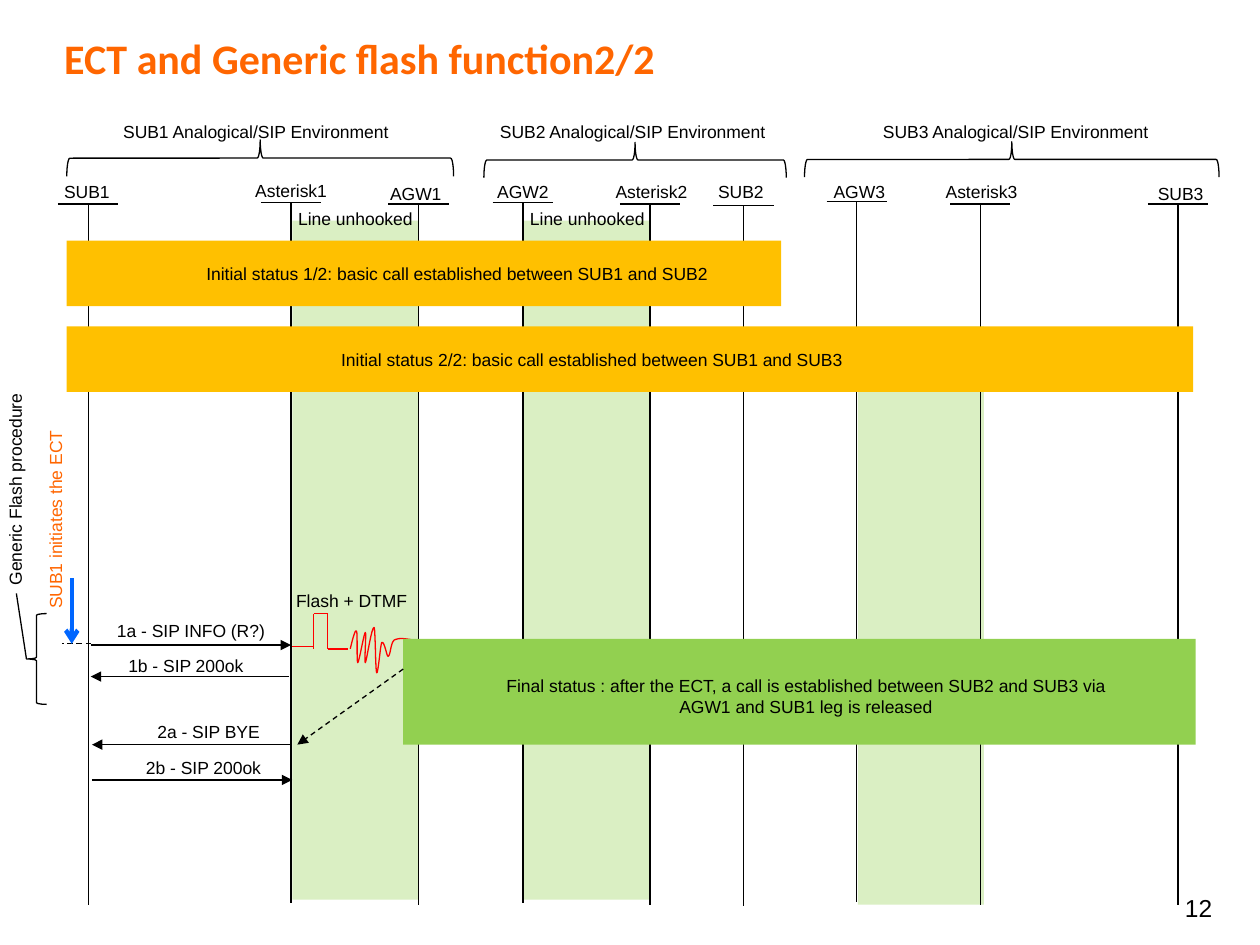
from lxml import etree
from pptx import Presentation
from pptx.dml.color import RGBColor
from pptx.enum.dml import MSO_LINE
from pptx.enum.shapes import MSO_CONNECTOR, MSO_SHAPE
from pptx.enum.text import MSO_ANCHOR, PP_ALIGN
from pptx.oxml.ns import qn
from pptx.util import Inches, Pt

BLACK, ORANGE, RED, BLUE = "000000", "FF6600", "FF0000", "0066FF"
BAND, AMBER, GREEN = "DAEFC3", "FFC000", "92D050"


def color(value):
    return RGBColor.from_string(value)


class SequenceSlide:
    font = "Arial"
    text_size = 10
    line_width = 0.75

    def __init__(self, slide):
        self.slide = slide
        self.shapes = slide.shapes

    def title(self, text, left, top, width, height):
        heading = self.shapes.title
        heading.left, heading.top = Inches(left), Inches(top)
        heading.width, heading.height = Inches(width), Inches(height)
        frame = heading.text_frame
        frame.text = text
        frame.vertical_anchor = MSO_ANCHOR.MIDDLE
        paragraph = frame.paragraphs[0]
        paragraph.alignment = PP_ALIGN.LEFT
        paragraph.font.name = "Calibri"
        paragraph.font.size = Pt(24)
        paragraph.font.bold = True
        paragraph.font.color.rgb = color(ORANGE)

    def text(self, text, left, top, width, height=0.27, hue=BLACK, size=text_size,
             align=PP_ALIGN.CENTER, rotation=0):
        box = self.shapes.add_textbox(*map(Inches, (left, top, width, height)))
        box.rotation = rotation
        frame = box.text_frame
        frame.word_wrap = True
        frame.text = text
        paragraph = frame.paragraphs[0]
        paragraph.alignment = align
        paragraph.space_before = Pt(6.2 if align == PP_ALIGN.CENTER else 0)
        paragraph.font.name = self.font
        paragraph.font.size = Pt(size)
        paragraph.font.color.rgb = color(hue)

    def rect(self, left, top, width, height, fill):
        block = self.shapes.add_shape(
            MSO_SHAPE.RECTANGLE, *map(Inches, (left, top, width, height)))
        block.shadow.inherit = False
        block.fill.solid()
        block.fill.fore_color.rgb = color(fill)
        block.line.fill.background()

    def outline(self, shape, hue):
        shape.shadow.inherit = False
        shape.fill.background()
        shape.line.color.rgb = color(hue)
        shape.line.width = Pt(self.line_width)

    def brace(self, left, top, width, height, rotation=0):
        bracket = self.shapes.add_shape(
            MSO_SHAPE.LEFT_BRACE, *map(Inches, (left, top, width, height)))
        bracket.rotation = rotation
        self.outline(bracket, BLACK)

    def line(self, x1, y1, x2, y2, hue=BLACK, width=line_width, dashed=False, arrow=None):
        connector = self.shapes.add_connector(
            MSO_CONNECTOR.STRAIGHT, *map(Inches, (x1, y1, x2, y2)))
        connector.line.color.rgb = color(hue)
        connector.line.width = Pt(width)
        if dashed:
            connector.line.dash_style = MSO_LINE.DASH
        properties = connector._element.spPr
        if arrow:
            etree.SubElement(properties.find(qn("a:ln")), qn("a:tailEnd"), type=arrow)
        etree.SubElement(properties, qn("a:effectLst"))

    def curve(self, start, segments, hue, steps=8):
        points, origin = [], start
        for c1, c2, end in segments:
            for step in range(1, steps + 1):
                t = step / steps
                u = 1 - t
                points.append(tuple(
                    Inches(u**3 * a + 3 * u * u * t * b + 3 * u * t * t * c + t**3 * d)
                    for a, b, c, d in zip(origin, c1, c2, end)))
            origin = end
        builder = self.shapes.build_freeform(Inches(start[0]), Inches(start[1]))
        builder.add_line_segments(points, close=False)
        self.outline(builder.convert_to_shape(), hue)


LIFELINES = [
    ("SUB1", 0.7, 1.62, 0.26, 1.39),
    ("Asterisk1", 2.31, 1.61, 1.88, 1.38),
    ("AGW1", 3.32, 1.62, 2.87, 1.4),
    ("AGW2", 4.15, 1.61, 3.72, 1.39),
    ("Asterisk2", 5.16, 1.62, 4.74, 1.39),
    ("SUB2", 5.9, 1.63, 5.45, 1.39),
    ("AGW3", 6.8, 1.6, 6.39, 1.39),
    ("Asterisk3", 7.78, 1.62, 7.36, 1.39),
    ("SUB3", 9.35, 1.62, 8.94, 1.4),
]
ENVIRONMENTS = [
    ("SUB1", 0.65, (1.92, -0.28, 0.29, 3.07)),
    ("SUB2", 3.64, (4.9, 0.07, 0.28, 2.4)),
    ("SUB3", 6.68, (7.89, -0.38, 0.28, 3.29)),
]
MESSAGES = [
    ("1a - SIP INFO (R?)", 0.39, 4.87, 2.25, 0.72, 2.31, 5.12),
    ("1b - SIP 200ok", 0.61, 5.15, 1.73, 2.29, 0.72, 5.37),
    ("2a - SIP BYE", 0.53, 5.67, 2.25, 2.3, 0.73, 5.91),
    ("2b - SIP 200ok", 0.75, 5.96, 1.73, 0.73, 2.32, 6.19),
]
FLASH_PULSE = [
    (2.32, 5.13, 2.49, 5.13),
    (2.49, 5.15, 2.49, 4.87),
    (2.49, 4.87, 2.6, 4.87),
    (2.6, 4.87, 2.6, 5.15),
    (2.6, 5.15, 2.76, 5.15),
]
DTMF_WAVE = [
    ((2.8, 5.07), (2.82, 4.99), (2.83, 5.01)),
    ((2.84, 5.02), (2.83, 5.26), (2.84, 5.26)),
    ((2.85, 5.26), (2.89, 5.02), (2.9, 5.02)),
    ((2.91, 5.02), (2.89, 5.26), (2.9, 5.26)),
    ((2.91, 5.25), (2.95, 4.97), (2.97, 4.98)),
    ((2.98, 5), (2.98, 5.32), (2.99, 5.34)),
    ((3, 5.36), (3.02, 5.12), (3.03, 5.1)),
    ((3.05, 5.08), (3.07, 5.21), (3.08, 5.21)),
    ((3.1, 5.21), (3.1, 5.1), (3.13, 5.08)),
    ((3.17, 5.06), (3.22, 5.07), (3.28, 5.08)),
]


def main():
    deck = Presentation()
    deck.slide_width, deck.slide_height = Inches(10), Inches(7.5)
    page = SequenceSlide(deck.slides.add_slide(deck.slide_layouts[5]))
    page.title("ECT and Generic flash function2/2", 0.41, 0.04, 8.98, 0.84)

    for left, top, height in [(6.81, 2.59, 4.59), (4.16, 1.75, 5.39), (2.32, 1.75, 5.39)]:
        page.rect(left, top, 1, height, BAND)

    for name, x, top, label_left, label_top in LIFELINES:
        page.line(x - 0.24, top, x + 0.24, top)
        page.line(x, top, x, top + 5.56)
        page.text(name, label_left, label_top, 0.86)

    for subscriber, left, brace in ENVIRONMENTS:
        page.brace(*brace, rotation=90)
        page.text(f"{subscriber} Analogical/SIP Environment", left, 0.91, 2.76)

    for left in (2.16, 4):
        page.text("Line unhooked", left, 1.6, 1.32)

    for step, (peer, top, width, text_left) in enumerate(
            [("SUB2", 1.91, 5.67, 1.33), ("SUB3", 2.59, 8.94, 2.4)], 1):
        page.rect(0.53, top, width, 0.52, AMBER)
        page.text(f"Initial status {step}/2: basic call established between SUB1 and {peer}",
                  text_left, top + 0.13, 4.59)

    for message, left, top, width, start, end, y in MESSAGES:
        page.text(message, left, top, width)
        page.line(start, y, end, y, arrow="triangle")

    page.text("SUB1 initiates the ECT", -0.7, 3.99, 2.28, hue=ORANGE, rotation=270)
    page.line(0.72, 5.11, 0.49, 5.11, dashed=True)
    page.line(0.57, 4.59, 0.57, 5.11, BLUE, 2.5, arrow="arrow")

    page.text("Flash + DTMF", 2.13, 4.63, 1.32)
    page.curve((2.78, 5.15), DTMF_WAVE, RED)
    for stroke in FLASH_PULSE:
        page.line(*stroke, RED)

    page.rect(3.2, 5.07, 6.29, 0.84, GREEN)
    page.text("Final status : after the ECT, a call is established between SUB2 and SUB3 "
              "via AGW1 and SUB1 leg is released", 3.92, 5.31, 4.95, 0.44)
    page.line(3.2, 5.31, 2.36, 5.91, dashed=True, arrow="triangle")

    page.brace(0.21, 4.87, 0.16, 0.72)
    page.text("Generic Flash procedure", -1.26, 3.75, 2.76, rotation=270)
    page.line(0.13, 4.71, 0.21, 5.23)
    page.text("12", 7.39, 7.04, 2.33, 0.52, size=14, align=PP_ALIGN.RIGHT)

    deck.save("out.pptx")


if __name__ == "__main__":
    main()
